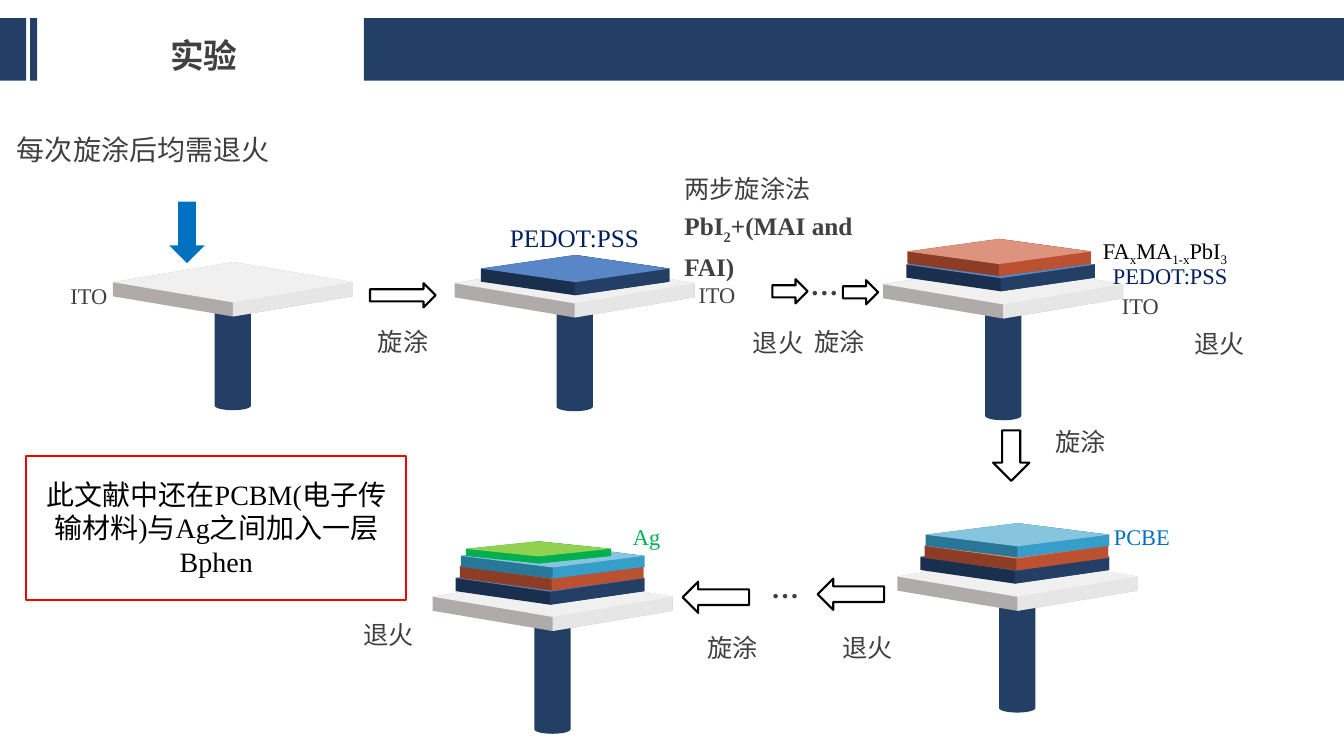
from dataclasses import dataclass

from pptx import Presentation
from pptx.dml.color import RGBColor as RGB
from pptx.enum.shapes import MSO_SHAPE as Kind
from pptx.enum.text import MSO_ANCHOR as Anchor, MSO_AUTO_SIZE as Auto, PP_ALIGN as Align
from pptx.oxml import parse_xml
from pptx.oxml.ns import nsdecls
from pptx.util import Inches, Pt


# Colours, fonts and type sizes
@dataclass(frozen=True)
class Theme:
    navy: str = "233F66"
    ink: str = "002060"
    gray: str = "404040"
    black: str = "000000"
    blue: str = "0070C0"
    green: str = "00B050"
    red: str = "FF0000"
    sans: str = "Arial"
    serif: str = "Times New Roman"
    han: str = "Noto Sans CJK SC"
    title: int = 24
    large: int = 20
    mid: int = 18
    small: int = 16
    line: float = 1.5
    lead: float = 1.2


@dataclass(frozen=True)
class Layer:
    width: float
    top: float
    thick: float
    left: str
    right: str
    face: str


@dataclass(frozen=True)
class Stage:
    x: float
    y: float
    drop: float
    stack: tuple[tuple[Layer, float, float], ...] = ()


@dataclass(frozen=True)
class Run:
    text: str
    size: int
    font: str
    tint: str
    bold: bool = False
    sub: bool = False


@dataclass(frozen=True)
class Label:
    x: float
    y: float
    w: float
    h: float
    lines: tuple[tuple[Run, ...], ...]
    loose: bool = False
    align: Align = Align.LEFT


@dataclass(frozen=True)
class Arrow:
    kind: Kind
    x: float
    y: float
    w: float
    h: float
    fill: str | None = None
    line: str | None = Theme.black


T = Theme()
PLATE = Layer(2.38, 0.4, 0.14, "AFABAB", "E7E6E6", "F1F0F0")
PEDOT = Layer(1.87, 0.27, 0.13, "1A2F4D", T.navy, "5886C6")
FILM = Layer(1.82, 0.25, 0.12, "8D3D25", "BC5131", "DD937D")
PCBE = Layer(1.82, 0.23, 0.11, "287798", "379ECA", "87C5DF")
AG = Layer(1.44, 0.15, 0.07, T.green, T.green, "92D050")

# Each stage: plate corner, post drop, layers from the bottom up
STAGES = (
    Stage(1.12, 2.6, 0.26),
    Stage(4.51, 2.61, 0.26, ((PEDOT, 4.77, 2.53),)),
    Stage(8.76, 2.62, 0.34, ((PEDOT, 8.99, 2.49), (FILM, 9, 2.37))),
    Stage(8.9, 5.52, 0.34,
          ((PEDOT, 9.13, 5.39), (FILM, 9.17, 5.29), (PCBE, 9.18, 5.19))),
    Stage(4.29, 5.72, 0.35,
          ((PEDOT, 4.52, 5.6), (FILM, 4.56, 5.49), (PCBE, 4.57, 5.4), (AG, 4.62, 5.37))),
)

ARROWS = (
    Arrow(Kind.DOWN_ARROW, 1.68, 2, 0.35, 0.61, T.blue, None),
    Arrow(Kind.RIGHT_ARROW, 3.67, 2.81, 0.65, 0.24),
    Arrow(Kind.RIGHT_ARROW, 7.66, 2.77, 0.35, 0.24),
    Arrow(Kind.RIGHT_ARROW, 8.36, 2.78, 0.35, 0.24),
    Arrow(Kind.DOWN_ARROW, 9.85, 4.27, 0.36, 0.5),
    Arrow(Kind.LEFT_ARROW, 8.11, 5.74, 0.66, 0.31),
    Arrow(Kind.LEFT_ARROW, 6.77, 5.77, 0.66, 0.31),
)


def bold(text: str, sub: bool = False) -> Run:
    return Run(text, T.mid, T.serif, T.gray, True, sub)


def chem(text: str, sub: bool = False) -> Run:
    return Run(text, T.small, T.serif, T.black, False, sub)


SPIN, BAKE = "旋涂", "退火"
STEPS = ((SPIN, 3.65, 3.19), (SPIN, 7.98, 3.19), (BAKE, 7.37, 3.2), (BAKE, 11.75, 3.21),
         (SPIN, 10.37, 4.18), (BAKE, 8.26, 6.22), (SPIN, 6.92, 6.22), (BAKE, 3.51, 6.09))
NAMES = (("PEDOT:PSS", 10.94, 2.55, T.ink), ("PCBE", 10.95, 5.14, T.blue),
         ("Ag", 6.18, 5.14, T.green))
LABELS = (
    Label(0.83, 0.24, 2.38, 0.54, ((Run("实验", T.title, T.han, T.gray, True),),),
          True, Align.CENTER),
    Label(0.07, 1.21, 2.84, 0.47, ((Run("每次旋涂后均需退火", T.large, T.sans, T.gray),),), True),
    Label(4.96, 2.16, 1.87, 0.4, ((Run("PEDOT:PSS", T.mid, T.serif, T.ink),),)),
    Label(6.69, 1.83, 2.38, 0.79,
          ((Run("两步旋涂法", T.mid, T.sans, T.gray),),
           (bold("PbI"), bold("2", True), bold("+(MAI and FAI)"))), True),
    Label(10.84, 2.3, 1.92, 0.37,
          ((chem("FA"), chem("x", True), chem("MA"), chem("1-x", True),
            chem("PbI"), chem("3", True)),)),
    *(Label(x, y, 0.86, 0.4, ((Run("ITO", T.small, T.serif, T.gray),),), True)
      for x, y in ((0.6, 2.71), (6.83, 2.7), (11.03, 2.81))),
    *(Label(x, y, 0.52, 0.47, ((Run("…", T.large, T.serif, T.gray, True),),), True)
      for x, y in ((7.94, 2.55), (7.55, 5.56))),
    *(Label(x, y, 1.87, 0.37, ((Run(name, T.small, T.serif, tint),),))
      for name, x, y, tint in NAMES),
    *(Label(x, y, 0.96, 0.4, ((Run(step, T.mid, T.sans, T.gray),),))
      for step, x, y in STEPS),
)


def paint(shape, fill: str | None, line: str | None = None) -> None:
    shape.shadow.inherit = False
    if fill:
        shape.fill.solid()
        shape.fill.fore_color.rgb = RGB.from_string(fill)
    else:
        shape.fill.background()
    if line:
        shape.line.color.rgb = RGB.from_string(line)
        shape.line.width = Pt(T.line)
    else:
        shape.line.fill.background()


def draw(slide, kind: Kind, x: float, y: float, w: float, h: float,
         fill: str | None, line: str | None = None):
    shape = slide.shapes.add_shape(kind, Inches(x), Inches(y), Inches(w), Inches(h))
    paint(shape, fill, line)
    return shape


def trace(slide, spots: list[tuple[float, float]], fill: str) -> None:
    start, *rest = [(Inches(x), Inches(y)) for x, y in spots]
    pen = slide.shapes.build_freeform(*start)
    pen.add_line_segments(rest, close=True)
    paint(pen.convert_to_shape(), fill)


def slab(slide, layer: Layer, x: float, y: float) -> None:
    mid, end = x + layer.width / 2, x + layer.width
    high = y + layer.top / 2
    low, base = high + layer.thick, y + layer.top + layer.thick
    right = [(mid, y), (end, high), (end, low), (mid, base)]
    trace(slide, right + [(x, low), (x, high)], layer.left)
    trace(slide, right, layer.right)
    draw(slide, Kind.DIAMOND, x, y, layer.width, layer.top, layer.face)


def write(para, run: Run) -> None:
    item = para.add_run()
    item.text = run.text
    font = item.font
    font.size, font.name, font.bold = Pt(run.size), run.font, run.bold
    font.color.rgb = RGB.from_string(run.tint)
    props = item._r.get_or_add_rPr()
    props.append(parse_xml(f'<a:ea {nsdecls("a")} typeface="{T.han}"/>'))
    if run.sub:
        props.set("baseline", "-25000")


def label(slide, note: Label) -> None:
    box = slide.shapes.add_textbox(Inches(note.x), Inches(note.y), Inches(note.w), Inches(note.h))
    frame = box.text_frame
    frame.word_wrap, frame.auto_size = True, Auto.SHAPE_TO_FIT_TEXT
    frame.vertical_anchor = Anchor.MIDDLE if note.loose else Anchor.TOP
    for i, line in enumerate(note.lines):
        para = frame.add_paragraph() if i else frame.paragraphs[0]
        para.alignment = note.align
        if note.loose:
            para.line_spacing = T.lead
        for run in line:
            write(para, run)


def main() -> None:
    deck = Presentation()
    deck.slide_width, deck.slide_height = Inches(13.33), Inches(7.5)
    slide = deck.slides.add_slide(deck.slide_layouts[6])

    # Header bars
    for x, w in ((3.61, 9.72), (0, 0.26), (0.3, 0.07)):
        draw(slide, Kind.RECTANGLE, x, 0.18, w, 0.62, T.navy)

    # Spin stages with their layers
    for stage in STAGES:
        draw(slide, Kind.CAN, stage.x + 1.01, stage.y + stage.drop, 0.36, 1.21, T.navy)
        slab(slide, PLATE, stage.x, stage.y)
        for layer, x, y in stage.stack:
            slab(slide, layer, x, y)

    # Arrows and labels
    for item in ARROWS:
        draw(slide, item.kind, item.x, item.y, item.w, item.h, item.fill, item.line)
    for note in LABELS:
        label(slide, note)

    # Framed remark
    frame = draw(slide, Kind.RECTANGLE, 0.26, 4.52, 3.77, 1.43, None, T.red).text_frame
    frame.word_wrap, frame.vertical_anchor = True, Anchor.MIDDLE
    para = frame.paragraphs[0]
    para.alignment = Align.CENTER
    write(para, Run("此文献中还在PCBM(电子传输材料)与Ag之间加入一层Bphen", T.large, T.serif, T.black))

    deck.save("out.pptx")


if __name__ == "__main__":
    main()
